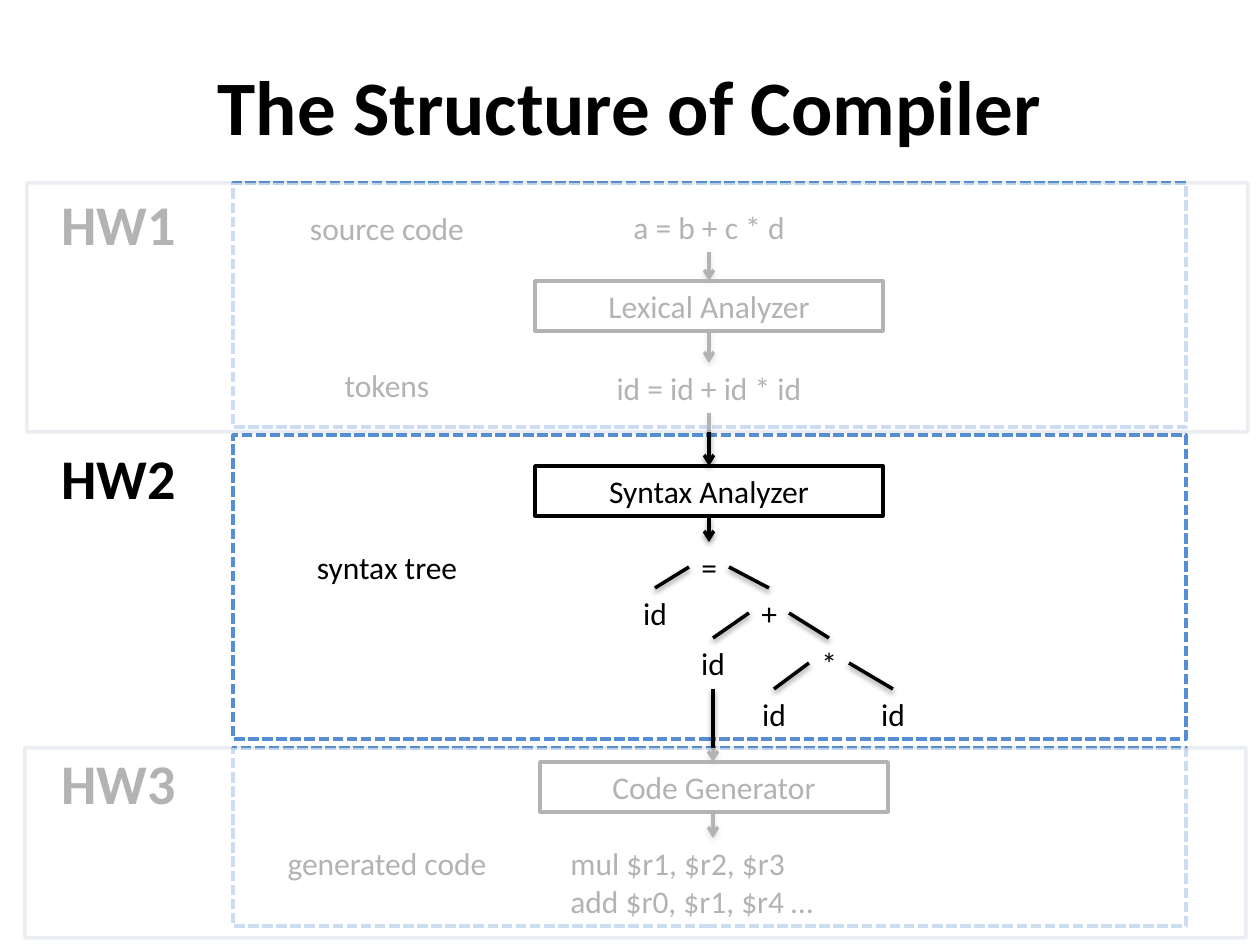
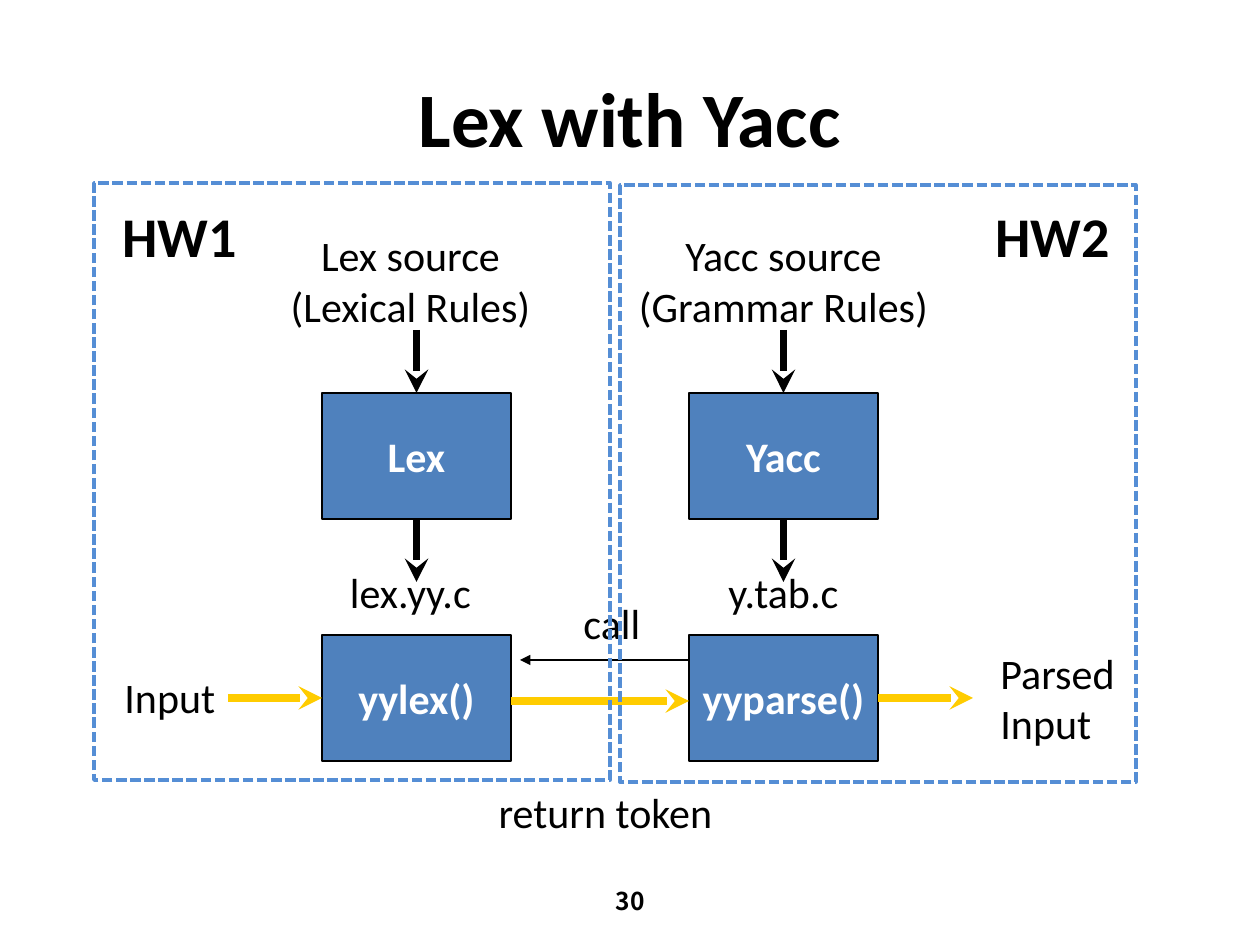
from lxml import etree
from pptx import Presentation
from pptx import util as u
from pptx.dml.color import RGBColor
from pptx.enum import dml, shapes, text
from pptx.oxml import ns

BLACK = RGBColor(0, 0, 0)
WHITE = RGBColor(255, 255, 255)
DASH_BLUE = RGBColor(0x55, 0x8E, 0xD5)
BOX_BLUE = RGBColor(0x4F, 0x81, 0xBD)
VEIL_LINE = RGBColor(0x3A, 0x5F, 0x8C)
YELLOW = RGBColor(0xFF, 0xCC, 0x00)
FONT = "Calibri"
NUMBER_FONT = "Noto Sans CJK SC"
SCALE = 914400 / 126
CENTER = text.PP_ALIGN.CENTER
LEFT = text.PP_ALIGN.LEFT
MIDDLE = text.MSO_ANCHOR.MIDDLE
TOP = text.MSO_ANCHOR.TOP


def emu(*pixels):
    return [u.Emu(round(value * SCALE)) for value in pixels]


def add_tag(parent, tag, **attributes):
    return etree.SubElement(parent, ns.qn(tag), attributes)


def write(shape, words, size=18, bold=False, color=BLACK, font=FONT,
          align=CENTER, anchor=TOP, wrap=True):
    frame = shape.text_frame
    frame.word_wrap = wrap
    frame.vertical_anchor = anchor
    for index, line in enumerate(words.split("\n")):
        para = frame.paragraphs[0] if index == 0 else frame.add_paragraph()
        para.alignment = align
        span = para.add_run()
        span.text = line
        span.font.name = font
        span.font.size = u.Pt(size)
        span.font.bold = bold
        span.font.color.rgb = color
    return shape


def label(page, box, words, **style):
    shape = write(page.shapes.add_textbox(*emu(*box)), words, **style)
    shape.text_frame.auto_size = text.MSO_AUTO_SIZE.SHAPE_TO_FIT_TEXT
    return shape


def centered(page, x, y, width, height, words, **style):
    return label(page, (x - width / 2, y - height / 2, width, height), words, **style)


def rectangle(page, box, fill=None, line=BLACK, weight=2, dashed=False):
    shape = page.shapes.add_shape(shapes.MSO_SHAPE.RECTANGLE, *emu(*box))
    shape.shadow.inherit = False
    if fill is None:
        shape.fill.background()
    else:
        shape.fill.solid()
        shape.fill.fore_color.rgb = fill
    shape.line.color.rgb = line
    shape.line.width = u.Pt(weight)
    if dashed:
        shape.line.dash_style = dml.MSO_LINE.SQUARE_DOT
        shape.line._ln.find(ns.qn("a:prstDash")).set("val", "sysDash")
    return shape


def panel(page, box):
    return rectangle(page, box, line=DASH_BLUE, dashed=True)


def veil(page, box):
    shape = rectangle(page, box, fill=WHITE, line=VEIL_LINE)
    colors = shape._element.spPr.iter(ns.qn("a:srgbClr"))
    for color, opacity in zip(list(colors), ("70000", "9000")):
        add_tag(color, "a:alpha", val=opacity)


def connect(page, start, end, color=BLACK, weight=2, head=None, shadow=False):
    line = page.shapes.add_connector(shapes.MSO_CONNECTOR.STRAIGHT, *emu(*start, *end))
    line.line.color.rgb = color
    line.line.width = u.Pt(weight)
    if head:
        add_tag(line.line._ln, "a:tailEnd", type=head)
    effects = add_tag(line._element.spPr, "a:effectLst")
    if shadow:
        outer = add_tag(effects, "a:outerShdw", blurRad="40000", dist="20000",
                        dir="5400000", rotWithShape="0")
        add_tag(add_tag(outer, "a:srgbClr", val="000000"), "a:alpha", val="38000")


def flow(page, x, top, bottom):
    connect(page, (x, top), (x, bottom), head="arrow", shadow=True)


def titled_page(deck, words, top):
    page = deck.slides.add_slide(deck.slide_layouts[5])
    title = page.shapes.title
    title.left, title.top, title.width, title.height = emu(63, top, 1134, 158)
    write(title, words, size=44, bold=True, anchor=MIDDLE)
    return page


def homework(page, box, name, name_top, stage, stage_left, stage_top, notes):
    left, top, width, height = box
    panel(page, box)
    label(page, (left - 189, top + name_top, 149, 81), name, size=32, bold=True)
    stage_box = (left + stage_left, top + stage_top, 348, 50)
    write(rectangle(page, stage_box), stage, anchor=MIDDLE)
    for words, note_top in notes:
        label(page, (left + 20, top + note_top, 268, 50), words)


def lexical_part(page, box):
    left, top, width, height = box
    homework(page, box, "HW1", 0, "Lexical Analyzer", 302, 98,
             (("source code", 20), ("tokens", 177)))
    axis = left + 476
    centered(page, axis, top + 44, 268, 50, "a = b + c * d")
    centered(page, axis, top + 205, 258, 50, "id = id + id * id")
    flow(page, axis, top + 69, top + 98)
    flow(page, axis, top + 147, top + 180)


def syntax_tree(page, left, top):
    rows = (0, 46, 96, 147)
    operators = (("=", 0, -54, 60), ("+", 60, 4, 120), ("*", 120, 65, 184))
    leaves = ((-54, 1), (4, 2), (65, 3), (184, 3))
    for row, (sign, x, *children) in enumerate(operators):
        y = top + rows[row]
        centered(page, left + x, y, 40, 50, sign)
        for side, child in zip((-20, 20), children):
            connect(page, (left + x + side, y),
                    (left + child, top + rows[row + 1] - 25), shadow=True)
    for x, row in leaves:
        centered(page, left + x, top + rows[row], 68, 50, "id")


def syntax_part(page, box):
    left, top, width, height = box
    homework(page, box, "HW2", 2, "Syntax Analyzer", 302, 31, (("syntax tree", 107),))
    axis = left + 476
    flow(page, axis, top - 22, top + 31)
    flow(page, axis, top + 82, top + 107)
    syntax_tree(page, axis, top + 132)


def generator_part(page, box):
    left, top, width, height = box
    homework(page, box, "HW3", -6, "Code Generator", 307, 14, (("generated code", 90),))
    axis = left + 480
    flow(page, axis, top - 59, top + 14)
    flow(page, axis, top + 65, top + 90)
    label(page, (left + 325, top + 90, 314, 89),
          "mul $r1, $r2, $r3\nadd $r0, $r1, $r4 …", align=LEFT)


def structure_page(deck):
    page = titled_page(deck, "The Structure of Compiler", 26)
    lexical_part(page, (233, 183, 953, 244))
    syntax_part(page, (233, 435, 953, 304))
    generator_part(page, (233, 748, 953, 178))
    veil(page, (25, 748, 1221, 190))
    veil(page, (27, 183, 1221, 249))


def tool_lane(page, box, source, tool, output, function, shift=0, wrap=True):
    left, top, width, height = box
    axis = left + width / 2
    for words, box_top in ((tool, 169), (function, 411)):
        step = rectangle(page, (left, top + box_top, width, 126), fill=BOX_BLUE, weight=1)
        write(step, words, size=24, bold=True, color=WHITE, anchor=MIDDLE, wrap=False)
    for start in (106, 295):
        connect(page, (axis, top + start), (axis, top + start + 63),
                weight=4.5, head="stealth")
    centered(page, axis + shift, top + 57, 335, 115, source, size=24, wrap=wrap)
    centered(page, axis + shift, top + 368, 189, 63, output, size=24)


def data_path(page, box):
    left, top, width, height = box
    for start, end, y in ((138, 232, 70), (421, 599, 73), (788, 883, 70)):
        connect(page, (left + start, top + y), (left + end, top + y),
                color=YELLOW, weight=4.5, head="stealth")
    connect(page, (left + 599, top + 32), (left + 430, top + 32),
            weight=0.75, head="triangle")
    for words, x, y, w, h, align in (
            ("Input", 22, 37, 118, 63, LEFT),
            ("Parsed\nInput", 898, 13, 142, 115, LEFT),
            ("return token", 391, 152, 249, 63, CENTER),
            ("call", 481, -37, 83, 63, LEFT)):
        label(page, (left + x, top + y, w, h), words, size=24, align=align, wrap=False)


def tools_page(deck):
    page = titled_page(deck, "Lex with Yacc", 38)
    label(page, (483, 876, 294, 50), "30", size=14, bold=True,
          font=NUMBER_FONT, anchor=MIDDLE)
    tool_lane(page, (322, 224, 189, 537), "Lex source\n(Lexical Rules)",
              "Lex", "lex.yy.c", "yylex()", shift=-6)
    tool_lane(page, (689, 224, 189, 537), "Yacc source\n(Grammar Rules)",
              "Yacc", "y.tab.c", "yyparse()", wrap=False)
    data_path(page, (90, 628, 1040, 215))
    for name, left, top, name_left in (("HW1", 94, 183, 105), ("HW2", 620, 185, 978)):
        panel(page, (left, top, 516, 597))
        label(page, (name_left, 195, 149, 81), name, size=32, bold=True)


deck = Presentation()
deck.slide_width, deck.slide_height = emu(1260, 945)
structure_page(deck)
tools_page(deck)
deck.save("out.pptx")
